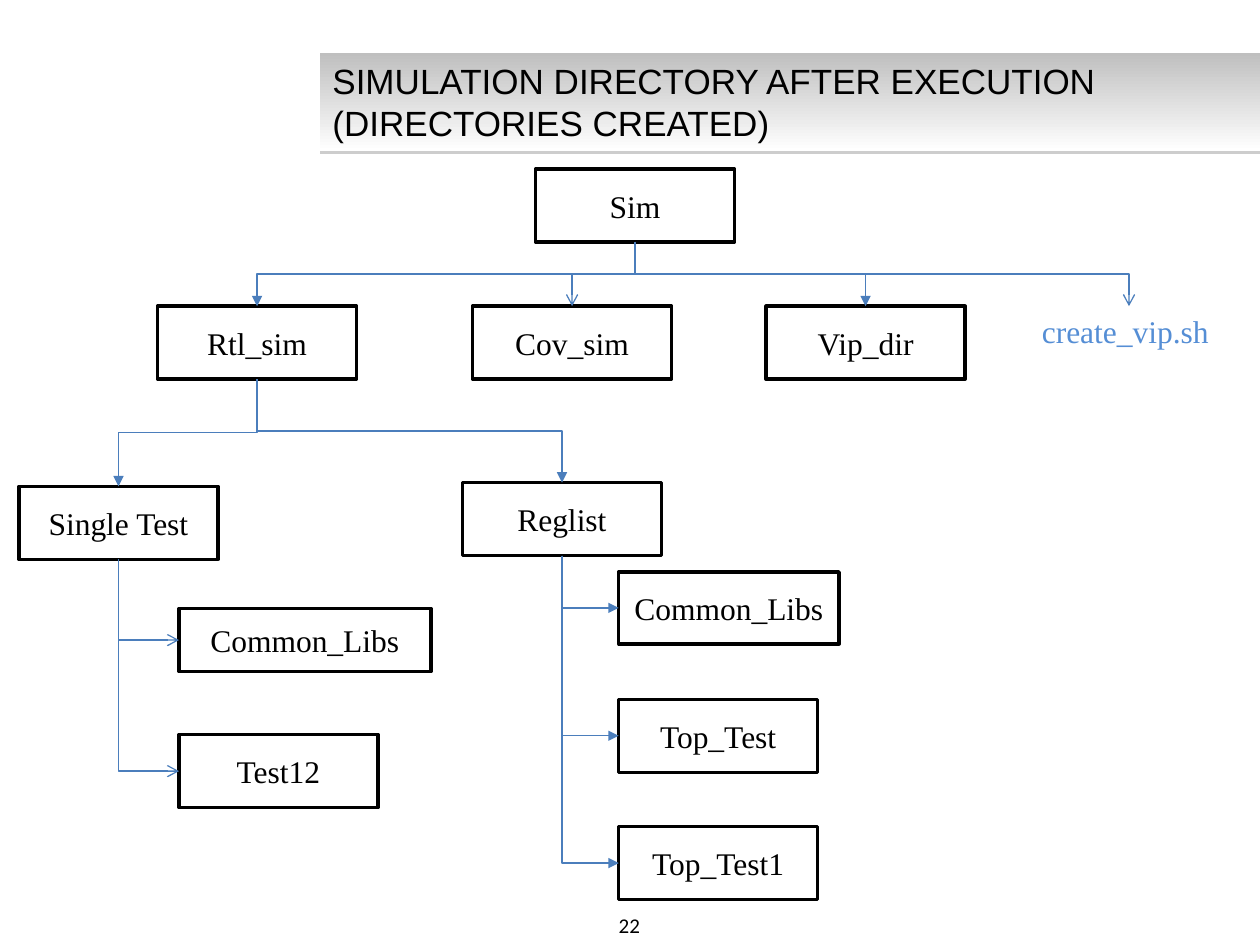
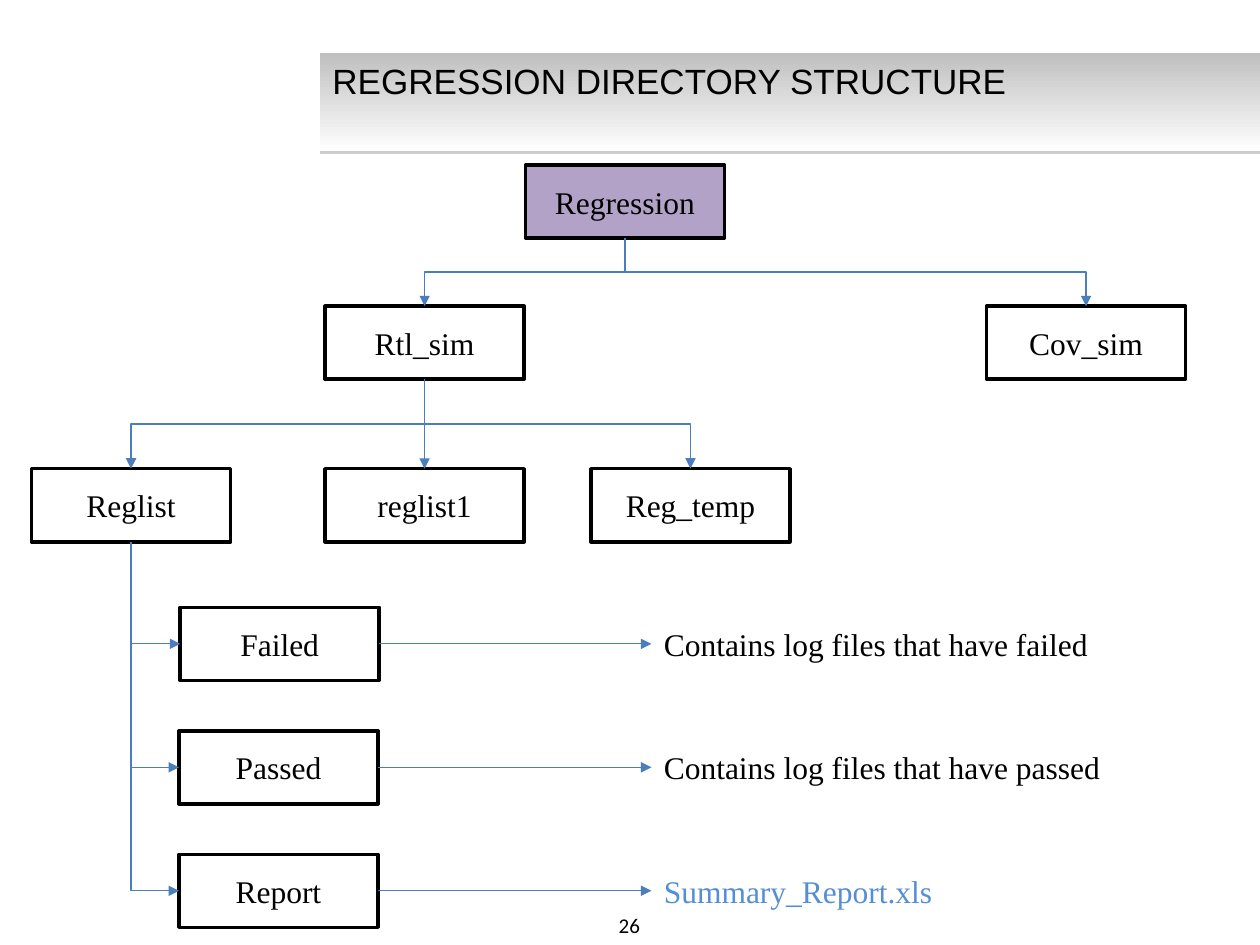
"""Build two slides of directory trees for a simulation flow."""
from dataclasses import dataclass

from lxml import etree
from pptx import Presentation
from pptx.dml.color import RGBColor
from pptx.enum.shapes import MSO_CONNECTOR, MSO_SHAPE
from pptx.enum.text import MSO_ANCHOR, PP_ALIGN
from pptx.oxml.ns import qn
from pptx.util import Inches, Pt

RECTANGLE = MSO_SHAPE.RECTANGLE
STRAIGHT, ELBOW = MSO_CONNECTOR.STRAIGHT, MSO_CONNECTOR.ELBOW
TOP, MIDDLE = MSO_ANCHOR.TOP, MSO_ANCHOR.MIDDLE
LEFT, CENTER = PP_ALIGN.LEFT, PP_ALIGN.CENTER


@dataclass(frozen=True)
class Theme:
    """Colours, fonts and sizes shared by the slides."""

    ink: str = "000000"
    paper: str = "FFFFFF"
    band: str = "BFBFBF"
    band_shadow: str = "808080"
    arrow: str = "4B7EBC"
    file: str = "558ED5"
    root: str = "B3A2C7"
    title_font: str = "Arial"
    tree_font: str = "Times New Roman"
    number_font: str = "Calibri"
    title_size: int = 20
    tree_size: int = 18
    number_size: int = 12
    border: float = 2
    arrow_line: float = 0.75


@dataclass(frozen=True)
class Area:
    """A rectangle on the slide, in inches."""

    left: float
    top: float
    width: float
    height: float

    def lengths(self) -> tuple:
        """Return left, top, width and height as slide lengths."""
        return tuple(Inches(n) for n in (self.left, self.top, self.width, self.height))

    @property
    def center(self) -> float:
        """Return the horizontal middle."""
        return self.left + self.width / 2

    @property
    def middle(self) -> float:
        """Return the vertical middle."""
        return self.top + self.height / 2


@dataclass(frozen=True)
class Note:
    """An explanation to the right of a directory."""

    text: str
    is_file: bool = False


@dataclass(frozen=True)
class Node:
    """A directory or file, with the entries inside it."""

    label: str
    left: float
    top: float
    children: tuple = ()
    beside: bool = False
    head: str = "triangle"
    is_file: bool = False
    note: Note | None = None
    width: float = 1.58
    height: float = 0.58
    fill: str = "FFFFFF"

    @property
    def area(self) -> Area:
        """Return the area that the node covers."""
        return Area(self.left, self.top, self.width, self.height)


@dataclass(frozen=True)
class Page:
    """The content of one slide."""

    title: str
    number: int
    root: Node


THEME = Theme()
TITLE_BAND = Area(2.54, 0.42, 7.46, 0.78)
NUMBER_AREA = Area(3.83, 7.19, 2.33, 0.31)
NOTE_LEFT, NOTE_WIDTH, NOTE_HEIGHT = 5.17, 3.85, 0.4
SECOND_ROW = 2.43

SIMULATION = Node("Sim", 4.25, 1.34, (
    Node("Rtl_sim", 1.25, SECOND_ROW, (
        Node("Single Test", 0.15, 3.86, (
            Node("Common_Libs", 1.42, 4.83, beside=True, head="arrow", width=2, height=0.5),
            Node("Test12", 1.42, 5.83, beside=True, head="arrow"),
        )),
        Node("Reglist", 3.67, 3.83, (
            Node("Common_Libs", 4.91, 4.54, beside=True, width=1.75, height=0.57),
            Node("Top_Test", 4.91, 5.55, beside=True),
            Node("Top_Test1", 4.91, 6.56, beside=True),
        )),
    )),
    Node("Cov_sim", 3.75, SECOND_ROW, head="arrow"),
    Node("Vip_dir", 6.08, SECOND_ROW),
    Node("create_vip.sh", 8.17, SECOND_ROW, head="arrow", is_file=True, height=0.41),
))

REGRESSION = Node("Regression", 4.17, 1.31, (
    Node("Rtl_sim", 2.58, SECOND_ROW, (
        Node("Reglist", 0.25, 3.72, (
            Node("Failed", 1.43, 4.82, beside=True,
                 note=Note("Contains log files that have failed")),
            Node("Passed", 1.42, 5.8, beside=True,
                 note=Note("Contains log files that have passed")),
            Node("Report", 1.42, 6.78, beside=True,
                 note=Note("Summary_Report.xls", is_file=True)),
        )),
        Node("reglist1", 2.58, 3.72),
        Node("Reg_temp", 4.69, 3.72),
    )),
    Node("Cov_sim", 7.83, SECOND_ROW),
), fill=THEME.root)

PAGES = (
    Page("SIMULATION DIRECTORY AFTER EXECUTION (DIRECTORIES CREATED)", 22, SIMULATION),
    Page("REGRESSION DIRECTORY STRUCTURE", 26, REGRESSION),
)


def rgb(value: str) -> RGBColor:
    """Turn a hex value into a colour."""
    return RGBColor.from_string(value)


def write(shape, text: str, *, font: str = THEME.tree_font, size: float = THEME.tree_size,
          color: str = THEME.ink, align=LEFT, anchor=TOP) -> None:
    """Put formatted text into a shape."""
    frame = shape.text_frame
    frame.word_wrap = True
    frame.vertical_anchor = anchor
    paragraph = frame.paragraphs[0]
    paragraph.alignment = align
    run = paragraph.add_run()
    run.text = text
    run.font.name = font
    run.font.size = Pt(size)
    run.font.color.rgb = rgb(color)


def add_text(slide, area: Area, text: str, **style) -> None:
    """Add a text box."""
    write(slide.shapes.add_textbox(*area.lengths()), text, **style)


def add_band(slide) -> None:
    """Draw the fading band behind the title, with its thin shadow."""
    band = slide.shapes.add_shape(RECTANGLE, *TITLE_BAND.lengths())
    band.line.fill.background()
    band.fill.gradient()
    band.fill.gradient_angle = 270
    for stop, color in zip(band.fill.gradient_stops, (THEME.band, THEME.paper)):
        stop.color.rgb = rgb(color)
    band.shadow.inherit = False
    effects = band.element.spPr.find(qn("a:effectLst"))
    shadow = etree.SubElement(effects, qn("a:outerShdw"), blurRad="0", dist=str(Pt(1.6)),
                              dir="5400000", algn="t", rotWithShape="0")
    tint = etree.SubElement(shadow, qn("a:srgbClr"), val=THEME.band_shadow)
    etree.SubElement(tint, qn("a:alpha"), val="38000")


def add_arrow(slide, kind, start: tuple, end: tuple, head: str = "triangle"):
    """Add a connector that ends in an arrowhead."""
    arrow = slide.shapes.add_connector(kind, *(Inches(n) for n in (*start, *end)))
    arrow.line.color.rgb = rgb(THEME.arrow)
    arrow.line.width = Pt(THEME.arrow_line)
    properties = arrow.element.spPr
    etree.SubElement(properties.find(qn("a:ln")), qn("a:tailEnd"), type=head)
    etree.SubElement(properties, qn("a:effectLst"))
    return arrow


def add_branch(slide, parent: Area, child: Node) -> None:
    """Lead an arrow from the foot of a parent to a child."""
    x, y = parent.center, parent.top + parent.height
    area = child.area
    end_x, end_y = (area.left, area.middle) if child.beside else (area.center, area.top)
    if abs(end_x - x) < 0.01:
        add_arrow(slide, STRAIGHT, (x, y), (end_x, end_y), child.head)
        return
    middle_x, middle_y = (x + end_x) / 2, (y + end_y) / 2
    half_drop, half_reach = (end_y - y) / 2, abs(end_x - x) / 2
    arrow = add_arrow(slide, ELBOW, (middle_x - half_drop, middle_y - half_reach),
                      (middle_x + half_drop, middle_y + half_reach), child.head)
    transform = arrow.element.spPr.find(qn("a:xfrm"))
    if end_x > x:
        transform.set("rot", "16200000")
        transform.set("flipH", "1")
    else:
        transform.set("rot", "5400000")
    if child.beside:
        arrow.element.spPr.find(qn("a:prstGeom")).set("prst", "bentConnector2")


def add_directory(slide, node: Node) -> None:
    """Draw a directory as a bordered box."""
    box = slide.shapes.add_shape(RECTANGLE, *node.area.lengths())
    box.shadow.inherit = False
    box.fill.solid()
    box.fill.fore_color.rgb = rgb(node.fill)
    box.line.color.rgb = rgb(THEME.ink)
    box.line.width = Pt(THEME.border)
    write(box, node.label, align=CENTER, anchor=MIDDLE)


def add_note(slide, area: Area, note: Note) -> None:
    """Point from a directory to its explanation."""
    add_arrow(slide, STRAIGHT, (area.left + area.width, area.middle), (NOTE_LEFT, area.middle))
    note_area = Area(NOTE_LEFT, area.middle - NOTE_HEIGHT / 2, NOTE_WIDTH, NOTE_HEIGHT)
    add_text(slide, note_area, note.text, color=THEME.file if note.is_file else THEME.ink)


def add_tree(slide, node: Node) -> None:
    """Draw a node and everything inside it."""
    if node.is_file:
        add_text(slide, node.area, node.label, color=THEME.file)
    else:
        add_directory(slide, node)
    if node.note:
        add_note(slide, node.area, node.note)
    for child in node.children:
        add_tree(slide, child)
        add_branch(slide, node.area, child)


def add_page(deck, page: Page) -> None:
    """Add one slide with band, title, number and tree."""
    slide = deck.slides.add_slide(deck.slide_layouts[6])
    add_band(slide)
    add_text(slide, NUMBER_AREA, str(page.number), font=THEME.number_font,
             size=THEME.number_size, align=CENTER, anchor=MIDDLE)
    add_text(slide, TITLE_BAND, page.title, font=THEME.title_font, size=THEME.title_size)
    add_tree(slide, page.root)


def main() -> None:
    """Build and save the deck."""
    deck = Presentation()
    deck.slide_width, deck.slide_height = Inches(10), Inches(7.5)
    for page in PAGES:
        add_page(deck, page)
    deck.save("out.pptx")


if __name__ == "__main__":
    main()
